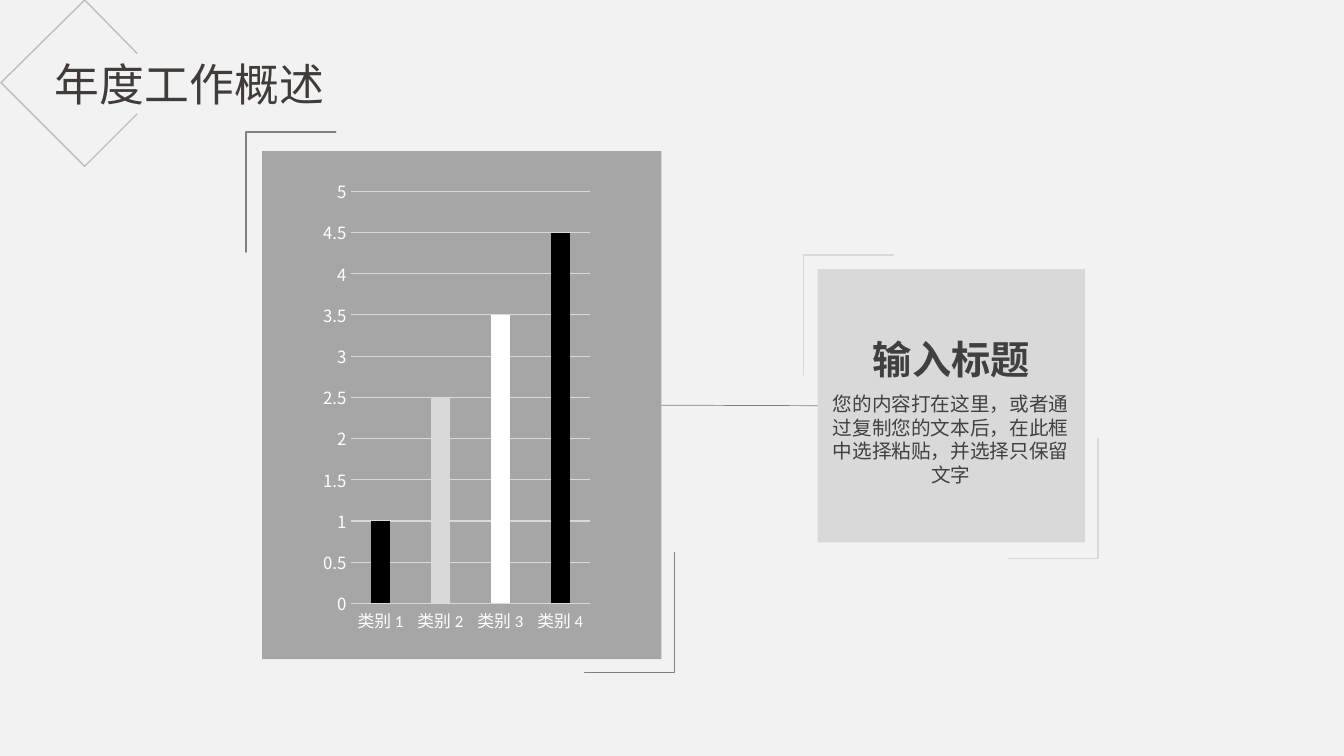
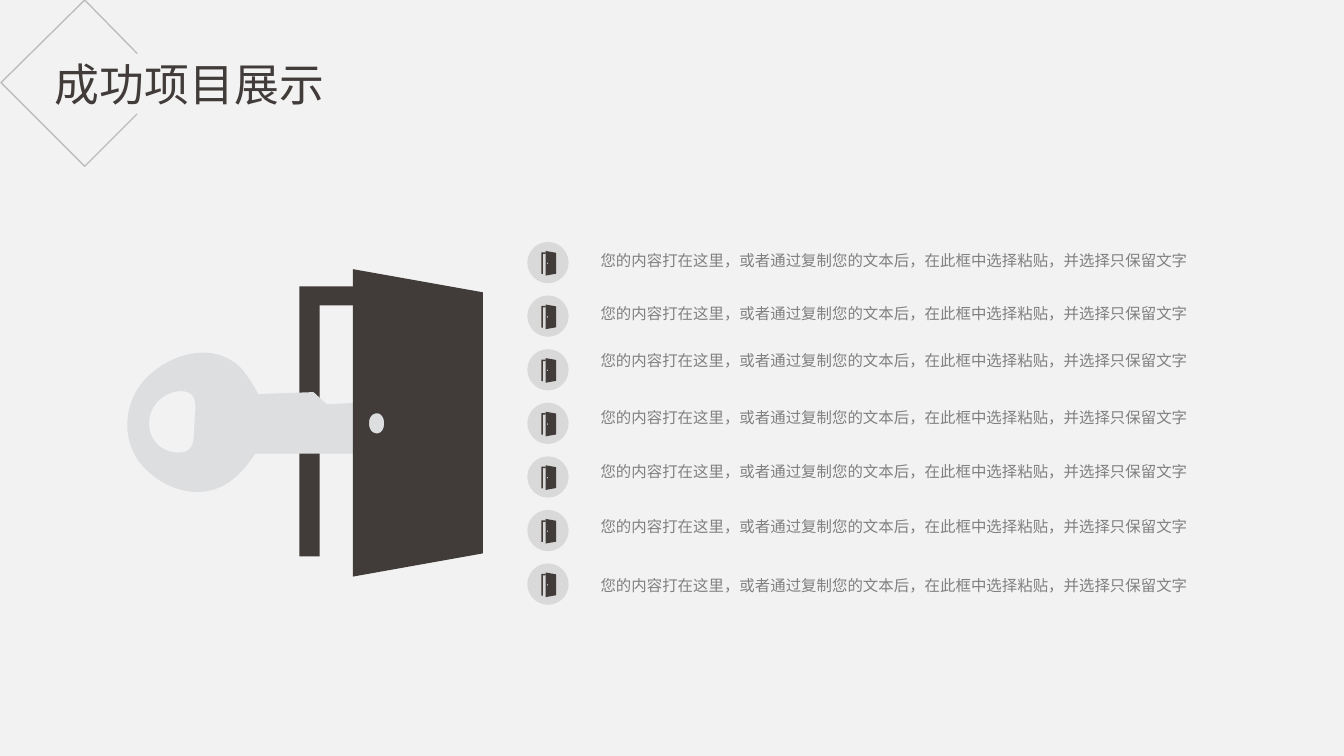
"""Build two grey report slides: a yearly overview chart and a project list."""
from lxml import etree
from pptx import Presentation
from pptx import util as u
from pptx.chart import data as chart_data
from pptx.dml.color import RGBColor
from pptx.enum import chart as charts, shapes, text
from pptx.oxml import ns

PAPER = RGBColor(0xF2, 0xF2, 0xF2)
INK = RGBColor(0x41, 0x3B, 0x39)
CHARCOAL = RGBColor(0x40, 0x40, 0x40)
BLACK = RGBColor(0, 0, 0)
WHITE = RGBColor(0xFF, 0xFF, 0xFF)
DARK_GREY = RGBColor(0x61, 0x61, 0x61)
MID_GREY = RGBColor(0x80, 0x80, 0x80)
PANEL_GREY = RGBColor(0xA6, 0xA6, 0xA6)
LIGHT_GREY = RGBColor(0xD9, 0xD9, 0xD9)
KEY_GREY = RGBColor(0xDC, 0xDE, 0xE0)

CJK_FONT = "Noto Sans CJK SC"
LATIN_FONT = "Calibri"
MESSAGE = "您的内容打在这里，或者通过复制您的文本后，在此框中选择粘贴，并选择只保留文字"

DIAMOND = [[(1.36, 0.53), (0.84, 0), (0.01, 0.82), (0.84, 1.65), (1.36, 1.13)]]
DOOR_LEFT, DOOR_TOP = 2.97, 2.67
DOOR_FRAME = [[(2.97, 2.84), (2.97, 5.52), (3.17, 5.52), (3.17, 3.03),
               (3.5, 3.03), (3.5, 2.84)]]
DOOR_LEAF = [
    [(3.74, 4.3), (3.69, 4.3, 3.66, 4.26, 3.66, 4.2),
     (3.66, 4.14, 3.69, 4.1, 3.74, 4.1), (3.78, 4.1, 3.81, 4.14, 3.81, 4.2),
     (3.81, 4.26, 3.78, 4.3, 3.74, 4.3)],
    [(3.5, 2.67), (3.5, 5.72), (4.79, 5.49), (4.79, 2.9)],
]
KEY = [
    [(1.8, 3.88), (1.97, 3.89, 1.94, 4.02, 1.93, 4.19),
     (1.92, 4.36, 1.94, 4.49, 1.77, 4.49), (1.6, 4.49, 1.47, 4.36, 1.48, 4.19),
     (1.48, 4.02, 1.63, 3.88, 1.8, 3.88)],
    [(1.47, 3.73), (1.21, 3.98, 1.19, 4.39, 1.43, 4.64),
     (1.68, 4.9, 2.07, 4.98, 2.34, 4.73), (2.4, 4.68, 2.48, 4.58, 2.53, 4.5),
     (3.65, 4.5), (3.69, 4.5, 3.75, 4.48, 3.78, 4.45), (3.96, 4.28),
     (3.99, 4.25, 3.99, 4.21, 3.97, 4.18), (3.84, 4.04),
     (3.81, 4.01, 3.75, 3.99, 3.71, 3.99), (3.24, 4.01), (3.11, 3.89),
     (2.56, 3.91), (2.52, 3.82, 2.44, 3.71, 2.39, 3.65),
     (2.14, 3.4, 1.74, 3.48, 1.47, 3.73)],
]
CURVE_STEPS = 12


def paint(shape, fill=None, line=None, width=1):
    """Set the fill and outline of a shape and drop its shadow."""
    shape.shadow.inherit = False
    if fill is None:
        shape.fill.background()
    else:
        shape.fill.solid()
        shape.fill.fore_color.rgb = fill
    if line is None:
        shape.line.fill.background()
    else:
        shape.line.color.rgb = line
        shape.line.width = u.Pt(width)


def add_block(page, kind, left, top, width, height, fill, line=None):
    """Add a painted preset shape."""
    block = page.shapes.add_shape(kind, u.Inches(left), u.Inches(top),
                                  u.Inches(width), u.Inches(height))
    paint(block, fill, line)
    return block


def flatten(contour):
    """Turn a contour of points and cubic curves into plain points."""
    points = [contour[0]]
    for step in contour[1:]:
        if len(step) == 2:
            points.append(step)
            continue
        corners = [points[-1], step[:2], step[2:4], step[4:]]
        for index in range(1, CURVE_STEPS + 1):
            t = index / CURVE_STEPS
            weights = ((1 - t) ** 3, 3 * t * (1 - t) ** 2, 3 * t * t * (1 - t), t ** 3)
            points.append(tuple(sum(w * corner[axis] for w, corner in zip(weights, corners))
                                for axis in (0, 1)))
    return points


def add_outline(page, contours, place=lambda point: point, close=True):
    """Draw contours as one freeform, with each point moved by place."""
    builder = None
    for contour in contours:
        points = [tuple(u.Inches(value) for value in place(point))
                  for point in flatten(contour)]
        if builder is None:
            builder = page.shapes.build_freeform(*points[0])
        else:
            builder.move_to(*points[0])
        builder.add_line_segments(points[1:], close=close)
    return builder.convert_to_shape()


def add_span(para, words, size, color, font=CJK_FONT, bold=False):
    """Add a formatted run that uses one font for all scripts."""
    span = para.add_run()
    span.text = words
    span.font.size = u.Pt(size)
    span.font.bold = bold
    span.font.color.rgb = color
    span.font.name = font
    east_asian = etree.SubElement(span.font._element, ns.qn("a:ea"))
    east_asian.set("typeface", font)


def add_text(page, words, left, top, width, height, size, color, font=CJK_FONT,
             bold=False, wrap=True, anchor=text.MSO_ANCHOR.TOP):
    """Add a centred text box of one paragraph."""
    box = page.shapes.add_textbox(u.Inches(left), u.Inches(top),
                                  u.Inches(width), u.Inches(height))
    frame = box.text_frame
    frame.word_wrap = wrap
    frame.vertical_anchor = anchor
    para = frame.paragraphs[0]
    para.alignment = text.PP_ALIGN.CENTER
    add_span(para, words, size, color, font, bold)
    return box


def add_page(deck, heading):
    """Add a slide with the shared title and corner diamond."""
    page = deck.slides.add_slide(deck.slide_layouts[5])
    title = page.shapes.title
    title.left, title.top = u.Inches(0.37), u.Inches(0.51)
    title.width, title.height = u.Inches(3.02), u.Inches(0.64)
    frame = title.text_frame
    frame.auto_size = text.MSO_AUTO_SIZE.NONE
    frame.vertical_anchor = text.MSO_ANCHOR.MIDDLE
    para = frame.paragraphs[0]
    para.alignment = text.PP_ALIGN.CENTER
    add_span(para, heading, 32, INK)
    diamond = add_outline(page, DIAMOND, close=False)
    paint(diamond, line=MID_GREY)
    color = diamond.line.fill._xPr.find(".//" + ns.qn("a:srgbClr"))
    etree.SubElement(color, ns.qn("a:alpha")).set("val", "45000")
    return page


def add_brackets(page, first, second, fill, line):
    """Add a top-left bracket and a turned bottom-right one."""
    for (left, top), angle in ((first, 0), (second, 180)):
        bracket = add_block(page, shapes.MSO_SHAPE.HALF_FRAME, left, top,
                            0.89, 1.19, fill, line)
        bracket.adjustments[0] = 0
        bracket.adjustments[1] = 0
        bracket.rotation = angle


def join(page, start, end):
    """Join the right side of one block to the left side of another."""
    link = page.shapes.add_connector(shapes.MSO_CONNECTOR.STRAIGHT, 0, 0, 0, 0)
    link.begin_connect(start, 3)
    link.end_connect(end, 1)
    link.line.color.rgb = MID_GREY
    link.line.width = u.Pt(0.5)
    etree.SubElement(link._element.spPr, ns.qn("a:effectLst"))


def style_axis(axis, font):
    """Give an axis white labels and no tick marks."""
    axis.major_tick_mark = charts.XL_TICK_MARK.NONE
    axis.minor_tick_mark = charts.XL_TICK_MARK.NONE
    labels = axis.tick_labels.font
    labels.size = u.Pt(12)
    labels.name = font
    labels.color.rgb = WHITE


def add_column_chart(page):
    """Add the column chart with one colour for each category."""
    data = chart_data.CategoryChartData()
    data.categories = [f"类别 {number}" for number in range(1, 5)]
    data.add_series("Series 1", (1, 2.5, 3.5, 4.5))
    chart = page.shapes.add_chart(
        charts.XL_CHART_TYPE.COLUMN_CLUSTERED, u.Inches(3.15), u.Inches(1.68),
        u.Inches(2.76), u.Inches(4.69), data).chart
    chart.has_legend = False
    chart.has_title = False
    chart.font.size = u.Pt(10)
    chart.font.name = LATIN_FONT
    chart.font.color.rgb = BLACK
    plot = chart.plots[0]
    plot.gap_width = 219
    plot.overlap = -27
    plot.vary_by_categories = False
    series = plot.series[0]
    series.format.fill.solid()
    series.format.fill.fore_color.rgb = DARK_GREY
    for index, color in enumerate((BLACK, LIGHT_GREY, WHITE, BLACK)):
        fill = series.points[index].format.fill
        fill.solid()
        fill.fore_color.rgb = color
    style_axis(chart.category_axis, LATIN_FONT)
    style_axis(chart.value_axis, CJK_FONT)
    chart.value_axis.minimum_scale = 0
    chart.value_axis.maximum_scale = 5
    chart.value_axis.major_unit = 0.5
    chart.value_axis.format.line.fill.background()
    for part in (chart.category_axis, chart.value_axis.major_gridlines):
        part.format.line.color.rgb = LIGHT_GREY
        part.format.line.width = u.Pt(0.75)


def add_door(page, left, top, scale, key=False):
    """Draw an open door at any size, with a key behind it if wanted."""
    def place(point):
        """Scale and move a point of the door."""
        return (left + (point[0] - DOOR_LEFT) * scale,
                top + (point[1] - DOOR_TOP) * scale)

    paint(add_outline(page, DOOR_FRAME, place), INK)
    if key:
        paint(add_outline(page, KEY, place), KEY_GREY)
    paint(add_outline(page, DOOR_LEAF, place), INK)


def build_overview(deck):
    """Build the chart slide with its linked text card."""
    page = add_page(deck, "年度工作概述")
    rectangle = shapes.MSO_SHAPE.RECTANGLE
    card = add_block(page, rectangle, 8.11, 2.67, 2.65, 2.71, LIGHT_GREY)
    panel = add_block(page, rectangle, 2.6, 1.5, 3.96, 5.04, PANEL_GREY)
    join(page, panel, card)
    add_text(page, "输入标题", 8.55, 3.28, 1.77, 0.57, 28, CHARCOAL, bold=True,
             wrap=False, anchor=text.MSO_ANCHOR.MIDDLE)
    add_text(page, MESSAGE, 8.15, 3.84, 2.56, 1.04, 14, CHARCOAL, LATIN_FONT)
    add_column_chart(page)
    add_brackets(page, (2.44, 1.31), (5.8, 5.48), BLACK, MID_GREY)
    add_brackets(page, (7.97, 2.53), (10, 4.35), LIGHT_GREY, LIGHT_GREY)


def build_projects(deck):
    """Build the door and key slide with its list of messages."""
    page = add_page(deck, "成功项目展示")
    add_door(page, DOOR_LEFT, DOOR_TOP, 1, key=True)
    text_tops = (2.49, 3.02, 3.48, 4.05, 4.58, 5.13, 5.72)
    pitch = (5.59 - 2.4) / (len(text_tops) - 1)
    for index, text_top in enumerate(text_tops):
        top = 2.4 + index * pitch
        add_block(page, shapes.MSO_SHAPE.OVAL, 5.23, top, 0.41, 0.41, LIGHT_GREY)
        add_door(page, 5.37, top + 0.09, 0.08)
        box = add_text(page, MESSAGE, 5.82, text_top, 6.1, 0.35, 11, MID_GREY)
        box.text_frame.margin_top = u.Inches(0.02)
        box.text_frame.paragraphs[0].line_spacing = 0.9


def main():
    """Build and save the deck."""
    deck = Presentation()
    deck.slide_width, deck.slide_height = u.Inches(13.33), u.Inches(7.5)
    background = deck.slide_master.background.fill
    background.solid()
    background.fore_color.rgb = PAPER
    build_overview(deck)
    build_projects(deck)
    deck.save("out.pptx")


if __name__ == "__main__":
    main()
